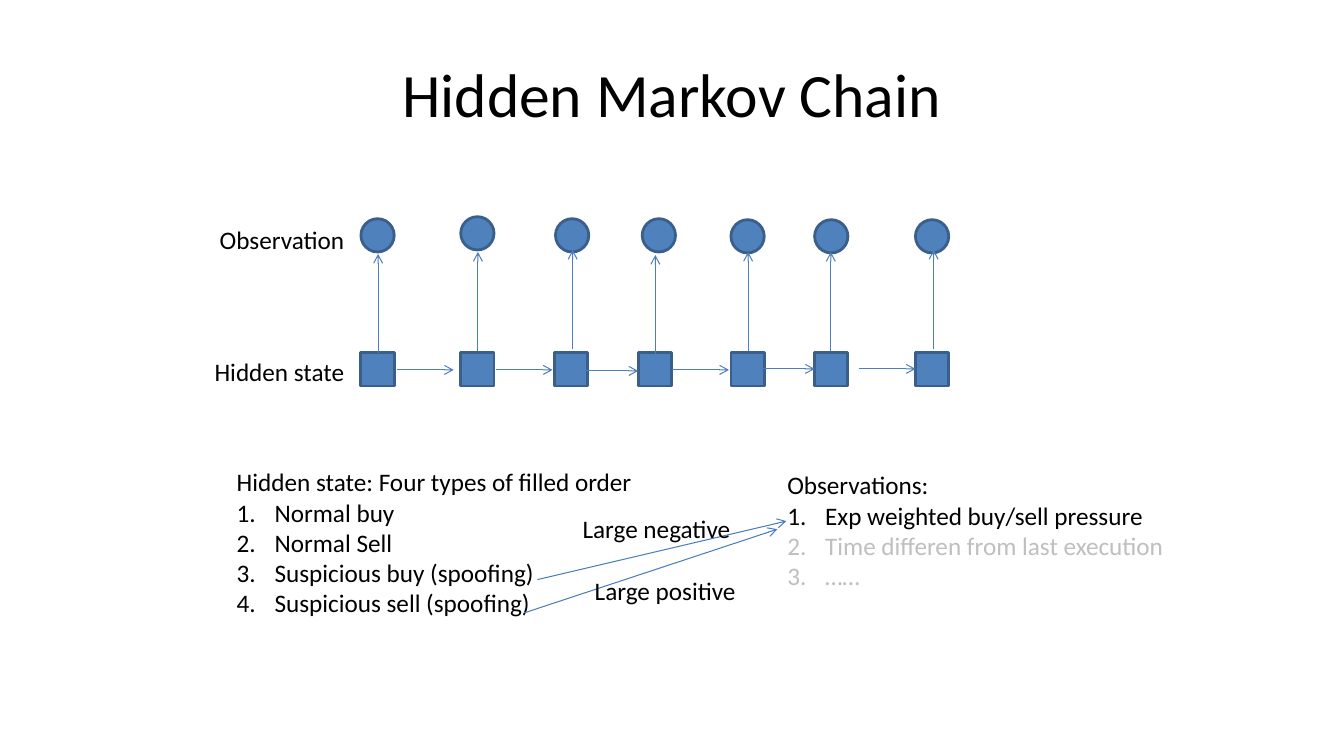
from pptx import Presentation
from pptx import util as u
from pptx.dml.color import RGBColor
from pptx.enum import shapes, text
from pptx.oxml.ns import qn
from lxml import etree

W, H = 13.33, 7.5
FONT = "Calibri"
BLACK, GREY = "000000", "BFBFBF"
FILL, EDGE, ARROW = "4F81BD", "3A5F8C", "4B7EBC"
NODE = 0.33
STEP = 0.56   # length of an arrow between states
RISE = 0.985  # length of an arrow from state to observation

# Per step: state x, observation x, observation y, arrow x, arrow tip y.
# Lengths are relative to the chain's box.
STEPS = [
    (0, 0, 0.02, 0.17, 0.37),
    (0.99, 0.99, 0, 1.16, 0.35),
    (1.92, 1.93, 0.02, 2.1, 0.33),
    (2.75, 2.79, 0.02, 2.92, 0.38),
    (3.67, 3.67, 0.03, 3.84, 0.35),
    (4.5, 4.5, 0.03, 4.66, 0.35),
    (5.5, 5.5, 0.03, 5.68, 0.33),
]
TRANSITIONS = [(0.36, 1.52), (1.34, 1.52), (2.19, 1.53),
               (3.09, 1.52), (3.94, 1.51), (4.94, 1.51)]


def rgb(color):
    return RGBColor.from_string(color)


def style(p, color=BLACK, size=18):
    for r in p.runs:
        r.font.name, r.font.size = FONT, u.Pt(size)
        r.font.color.rgb = rgb(color)


def add_title(s, box, words):
    sp = s.shapes.title
    sp.left, sp.top, sp.width, sp.height = map(u.Inches, box)
    sp.text_frame.text = words
    sp.text_frame.vertical_anchor = text.MSO_ANCHOR.MIDDLE
    p = sp.text_frame.paragraphs[0]
    p.alignment = text.PP_ALIGN.CENTER
    style(p, size=44)


def add_text(s, box, words, wrap=True):
    tf = s.shapes.add_textbox(*map(u.Inches, box)).text_frame
    tf.word_wrap = wrap
    tf.auto_size = text.MSO_AUTO_SIZE.SHAPE_TO_FIT_TEXT
    tf.text = words
    style(tf.paragraphs[0])
    return tf


def add_numbered(s, box, heading, items):
    tf = add_text(s, box, heading)
    for words, color in items:
        p = tf.add_paragraph()
        p.text = words
        style(p, color)
        pPr = p._p.get_or_add_pPr()
        indent = u.Inches(0.375)
        pPr.set("marL", str(indent))
        pPr.set("indent", str(-indent))
        etree.SubElement(pPr, qn("a:buFont"), typeface="+mj-lt")
        etree.SubElement(pPr, qn("a:buAutoNum"), type="arabicPeriod")


def add_node(s, kind, x, y):
    sp = s.shapes.add_shape(kind, *map(u.Inches, (x, y, NODE, NODE)))
    sp.shadow.inherit = False
    sp.fill.solid()
    sp.fill.fore_color.rgb = rgb(FILL)
    sp.line.color.rgb = rgb(EDGE)
    sp.line.width = u.Pt(2)


def add_arrow(s, x1, y1, x2, y2):
    c = s.shapes.add_connector(shapes.MSO_CONNECTOR.STRAIGHT,
                               *map(u.Inches, (x1, y1, x2, y2)))
    c.line.color.rgb = rgb(ARROW)
    c.line.width = u.Pt(0.75)
    etree.SubElement(c.line._get_or_add_ln(), qn("a:tailEnd"), type="arrow")
    etree.SubElement(c._element.spPr, qn("a:effectLst"))


def add_chain(s, left, top):
    """Draw states, observations, their arrows and the two row labels."""
    for state_x, obs_x, obs_y, arrow_x, tip_y in STEPS:
        add_node(s, shapes.MSO_SHAPE.RECTANGLE, left + state_x, top + 1.35)
        add_node(s, shapes.MSO_SHAPE.OVAL, left + obs_x, top + obs_y)
        x, tip = left + arrow_x, top + tip_y
        add_arrow(s, x, tip + RISE, x, tip)
    for dx, dy in TRANSITIONS:
        x, y = left + dx, top + dy
        add_arrow(s, x, y, x + STEP, y)
    for words, dy, width in (("Observation", 0.03, 1.45),
                             ("Hidden state", 1.34, 1.5)):
        box = (left - 0.05 - width, top + dy, width, 0.4)
        add_text(s, box, words, wrap=False)


def add_legend(s, left, top):
    """Draw both numbered lists and the labelled arrows joining them."""
    states = ["Normal buy", "Normal Sell",
              "Suspicious buy (spoofing)", "Suspicious sell (spoofing)"]
    add_numbered(s, (left, top, 4.23, 1.62),
                 "Hidden state: Four types of filled order",
                 [(words, BLACK) for words in states])
    add_numbered(s, (left + 5.46, top + 0.03, 3.98, 1.62), "Observations:",
                 [("Exp weighted buy/sell pressure", BLACK),
                  ("Time differen from last execution", GREY),
                  ("……", GREY)])
    add_arrow(s, left + 3.08, top + 1.17, left + 5.55, top + 0.59)
    add_arrow(s, left + 2.95, top + 1.5, left + 5.46, top + 0.67)
    add_text(s, (left + 3.55, top + 1.08, 1.68, 0.4), "Large positive")
    add_text(s, (left + 3.43, top + 0.46, 1.9, 0.4), "Large negative")


def main():
    prs = Presentation()
    prs.slide_width, prs.slide_height = u.Inches(W), u.Inches(H)
    s = prs.slides.add_slide(prs.slide_layouts[5])
    add_title(s, (W * 0.05, H * 0.04, W * 0.9, H / 6), "Hidden Markov Chain")
    add_chain(s, 3.58, 2.15)
    add_legend(s, 2.25, 4.58)
    prs.save("out.pptx")


if __name__ == "__main__":
    main()
